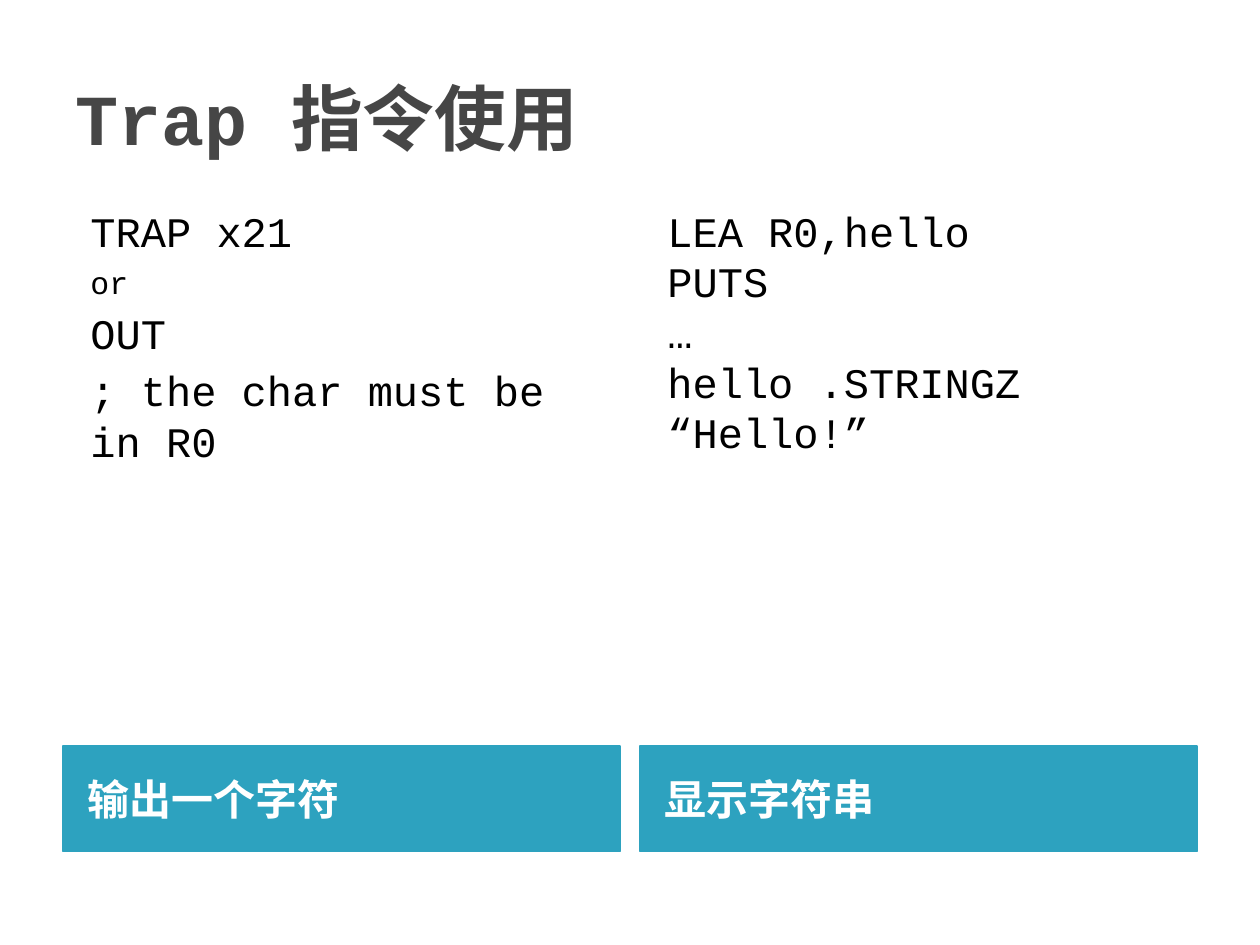
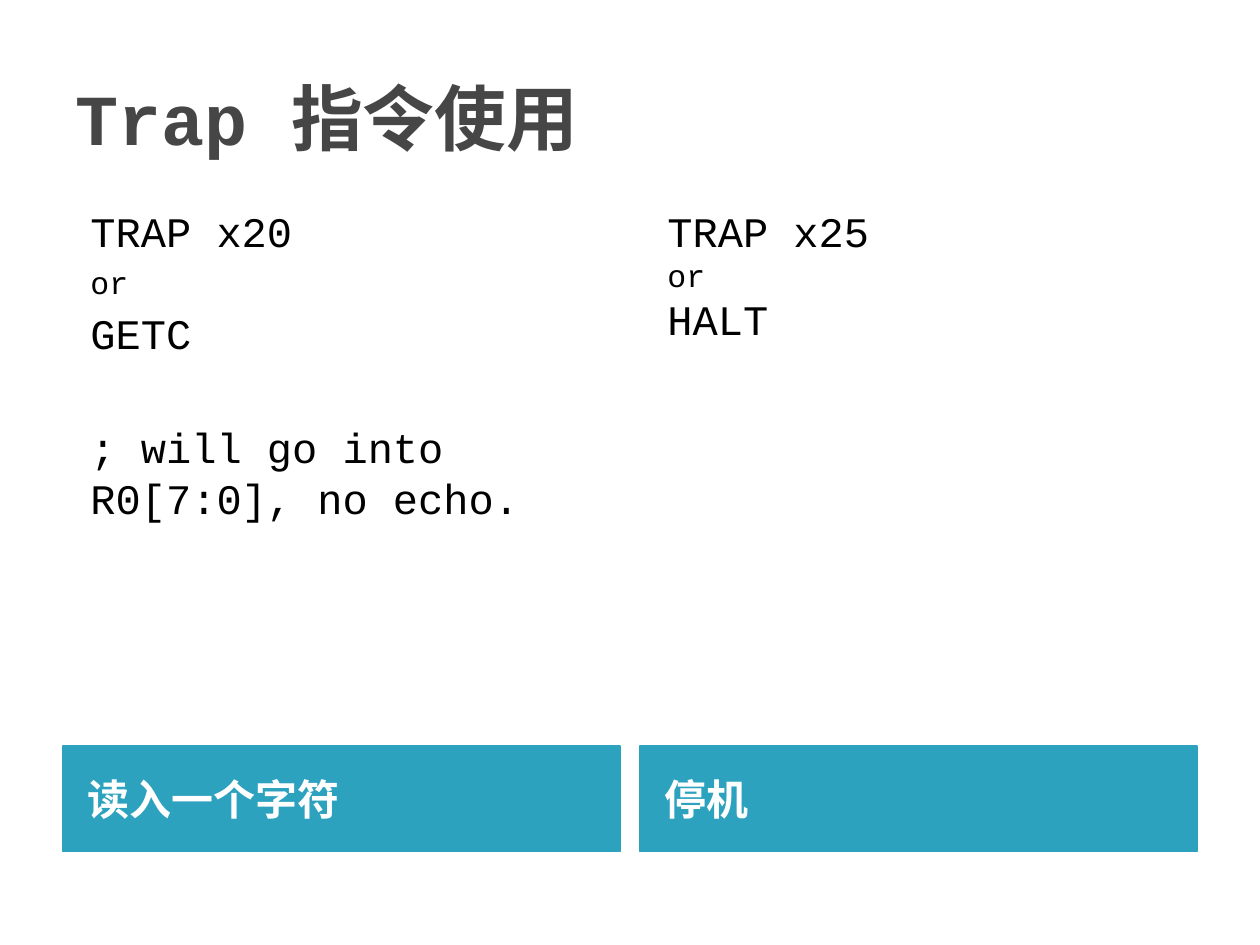
from pptx import Presentation
from pptx.dml.color import RGBColor
from pptx.enum.text import MSO_ANCHOR, MSO_AUTO_SIZE, PP_ALIGN
from pptx.oxml.xmlchemy import OxmlElement
from pptx.util import Cm, Pt

FONT = "Courier New"
TEAL, GREY, WHITE, BLACK = "2DA2BF", "464646", "FFFFFF", "000000"
LEFT, WIDE, COL, GAP = 1.27, 22.86, 11.23, 0.4
TITLE = "Trap 指令使用"

# Each code line is (text, size, space before).
SLIDES = [
    [("输出一个字符", [("TRAP x21", 24, 4), ("or", 18, 4), ("OUT", 24, 4),
                 ("; the char must be in R0", 24, 4)]),
     ("显示字符串", [("LEA R0,hello", 24, 0), ("PUTS", 24, 0), ("…", 24, 0),
                ("hello .STRINGZ “Hello!”", 24, 0)])],
    [("读入一个字符", [("TRAP x20", 24, 4), ("or", 18, 4), ("GETC", 24, 4),
                 ("; will go into R0[7:0], no echo.", 24, 36.5)]),
     ("停机", [("TRAP x25", 24, 0), ("or", 18, 0), ("HALT", 24, 0)])],
]


def rgb(code):
    """Turn a hex string into a colour."""
    return RGBColor.from_string(code)


def place(shape, box, anchor):
    """Put a placeholder into a box in cm and return its text frame."""
    shape.left, shape.top, shape.width, shape.height = map(Cm, box)
    frame = shape.text_frame
    frame.word_wrap = True
    frame.auto_size = MSO_AUTO_SIZE.NONE
    frame.vertical_anchor = anchor
    return frame


def style(para, size, color, bold=False, before=0):
    """Format one paragraph."""
    para.alignment = PP_ALIGN.LEFT
    para.space_before = Pt(before)
    font = para.font
    font.name, font.size, font.bold = FONT, Pt(size), bold
    font.color.rgb = rgb(color)


def plain(para):
    """Drop the bullet and hanging indent of a paragraph."""
    props = para._p.get_or_add_pPr()
    props.set("marL", str(Cm(0.3)))
    props.set("indent", "0")
    props.insert_element_before(OxmlElement("a:buNone"), "a:tabLst", "a:defRPr")


def head(shape, box):
    """Fill the slide title."""
    frame = place(shape, box, MSO_ANCHOR.MIDDLE)
    frame.text = TITLE
    style(frame.paragraphs[0], 41, GREY, bold=True)


def band(shape, box, text):
    """Fill the coloured caption band under a column."""
    frame = place(shape, box, MSO_ANCHOR.MIDDLE)
    frame.margin_left = Cm(0.5)
    frame.text = text
    style(frame.paragraphs[0], 24, WHITE, bold=True, before=4)
    shape.fill.solid()
    shape.fill.fore_color.rgb = rgb(TEAL)
    shape.line.color.rgb = rgb(TEAL)
    shape.line.width = Pt(0.76)


def code(shape, box, lines):
    """Fill a column with lines of code."""
    frame = place(shape, box, MSO_ANCHOR.TOP)
    frame.text = "\n".join(text for text, _, _ in lines)
    for para, (_, size, before) in zip(frame.paragraphs, lines):
        style(para, size, BLACK, before=before)
        plain(para)


def column(label, body, box, text, lines):
    """Stack code above its caption band within a box."""
    x, y, w, h = box
    foot = 2.12
    band(label, (x, y + h - foot, w, foot), text)
    code(body, (x, y, w, h - foot - 0.08), lines)


def compare(deck, columns):
    """Add a slide with a title and two captioned columns."""
    slide = deck.slides.add_slide(deck.slide_layouts.get_by_name("Comparison"))
    title, *parts = slide.placeholders
    head(title, (LEFT, 0.76, WIDE, 3.18))
    for i, (text, lines) in enumerate(columns):
        label, body = parts[2 * i:2 * i + 2]
        box = (LEFT + i * (COL + GAP), 4.01, COL, 13.15)
        column(label, body, box, text, lines)


deck = Presentation()
deck.slide_width, deck.slide_height = Cm(25.4), Cm(19.05)
for columns in SLIDES:
    compare(deck, columns)
deck.save("out.pptx")
